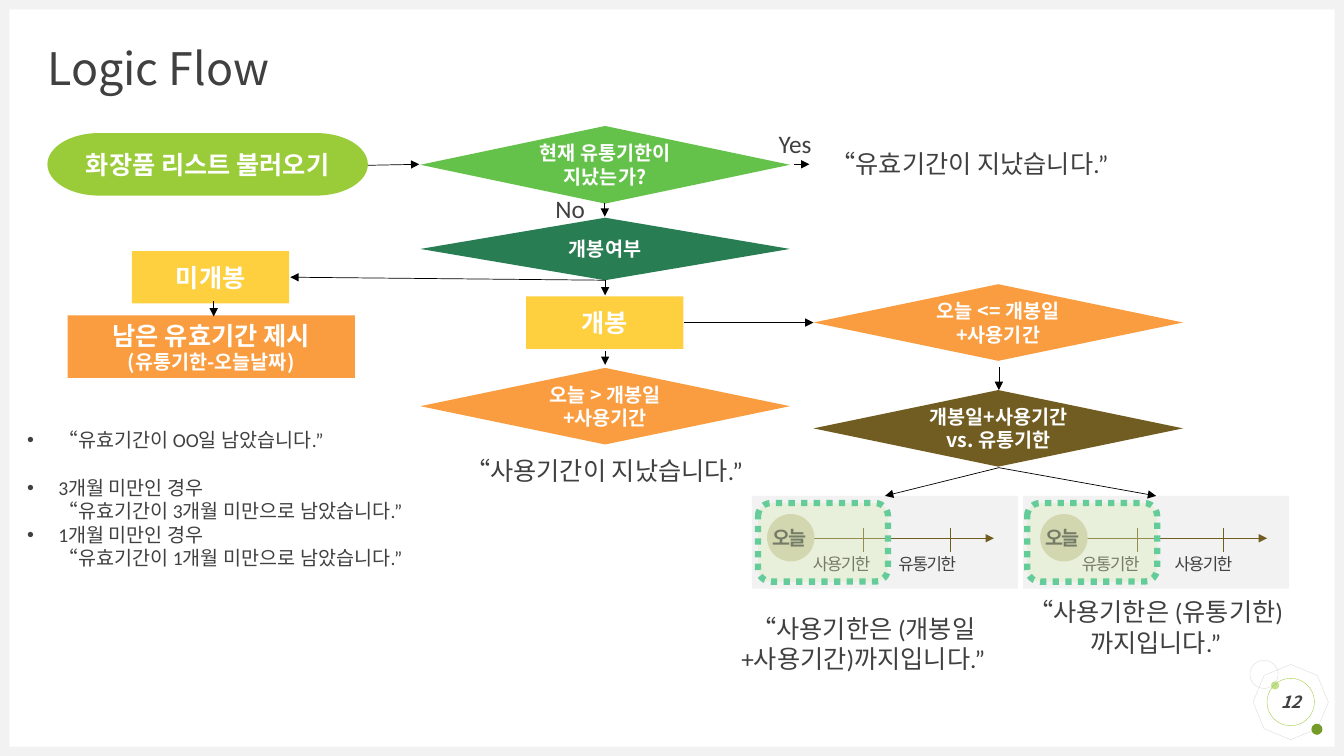
from lxml.etree import SubElement
from pptx import Presentation
from pptx.dml.color import RGBColor
from pptx.enum.dml import MSO_LINE
from pptx.enum.shapes import MSO_CONNECTOR, MSO_SHAPE
from pptx.enum.text import MSO_ANCHOR, PP_ALIGN
from pptx.oxml.ns import qn
from pptx.util import Emu, Inches, Pt

CELL = Inches(1) / 3
COLS, ROWS = 40, 22.5
SANS, BODY = "Noto Sans CJK KR", "Calibri"
WHITE = RGBColor(0xFF, 0xFF, 0xFF)
BLACK = RGBColor(0, 0, 0)
INK = RGBColor(0x40, 0x40, 0x40)
PALE = RGBColor(0xF2, 0xF2, 0xF2)
GRAY = RGBColor(0xD9, 0xD9, 0xD9)
LIME = RGBColor(0x9A, 0xCB, 0x39)
LIGHT_LIME = RGBColor(0xC2, 0xE0, 0x88)
DARK_LIME = RGBColor(0x74, 0x9A, 0x29)
GREEN = RGBColor(0x64, 0xC2, 0x4A)
FOREST = RGBColor(0x29, 0x7D, 0x53)
YELLOW = RGBColor(0xFE, 0xCF, 0x3F)
ORANGE = RGBColor(0xF9, 0x9D, 0x40)
BROWN = RGBColor(0x71, 0x5C, 0x21)
SAND = RGBColor(0xD2, 0xCE, 0xB1)
HAZE = RGBColor(0xD7, 0xEA, 0xB0)
MINT = RGBColor(0x64, 0xCC, 0x98)
DIAMOND = MSO_SHAPE.FLOWCHART_DECISION
RECT, OVAL = MSO_SHAPE.RECTANGLE, MSO_SHAPE.OVAL


def cells(*values):
    """Convert grid cells to slide lengths."""
    return [Emu(round(v * CELL)) for v in values]


def inside(box, x, y, w, h):
    """Place a part relative to the top left of its box."""
    return cells(box[0] + x, box[1] + y, w, h)


def write(tf, text, size=18, font=BODY, color=INK, bold=False, italic=False,
          align=PP_ALIGN.CENTER, anchor=MSO_ANCHOR.MIDDLE, inset=True,
          wrap=True, spacing=None, last_size=None):
    """Fill a text frame; newlines part paragraphs and \\v breaks lines."""
    tf.text = text
    tf.word_wrap, tf.vertical_anchor = wrap, anchor
    if not inset:
        tf.margin_left = tf.margin_top = tf.margin_right = tf.margin_bottom = 0
    for p in tf.paragraphs:
        p.alignment = align
        for br in p._p.findall(qn("a:br")):
            SubElement(br, qn("a:rPr"), sz=str(size * 100))
        for r in p.runs:
            f = r.font
            f.size, f.name, f.bold, f.italic = Pt(size), font, bold, italic
            f.color.rgb = color
            SubElement(r._r.get_or_add_rPr(), qn("a:ea"), typeface=SANS)
            if spacing:
                r._r.get_or_add_rPr().set("spc", str(spacing * 100))
        if last_size:
            p.runs[-1].font.size = Pt(last_size)


def shape(s, box, kind, x, y, w, h, fill=None, line=None, width=0.25):
    """Add a preset shape to a box."""
    sp = s.add_shape(kind, *inside(box, x, y, w, h))
    sp.shadow.inherit = False
    if fill is None:
        sp.fill.background()
    else:
        sp.fill.solid()
        sp.fill.fore_color.rgb = fill
    if line is None:
        sp.line.fill.background()
    else:
        sp.line.color.rgb, sp.line.width = line, Pt(width)
    return sp


def step(s, box, kind, x, y, w, h, fill, text, size=14, **fmt):
    """Add a filled step of the flow with white bold text."""
    sp = shape(s, box, kind, x, y, w, h, fill)
    write(sp.text_frame, text, size, SANS, WHITE, bold=True, **fmt)


def label(s, box, x, y, w, h, text, **fmt):
    """Add a text box without insets and return its frame."""
    tf = s.add_textbox(*inside(box, x, y, w, h)).text_frame
    write(tf, text, inset=False, **fmt)
    return tf


def link(s, box, x1, y1, x2, y2, color=BLACK, arrow=True):
    """Add a thin line, with an arrowhead unless told otherwise."""
    ends = cells(box[0] + x1, box[1] + y1, box[0] + x2, box[1] + y2)
    cn = s.add_connector(MSO_CONNECTOR.STRAIGHT, *ends)
    cn.line.color.rgb, cn.line.width = color, Pt(0.5)
    if arrow:
        SubElement(cn.line._get_or_add_ln(), qn("a:tailEnd"), type="triangle")
    SubElement(cn._element.spPr, qn("a:effectLst"))


def frame(s, box):
    """Draw the pale border around the slide."""
    w, h, edge = box[2], box[3], 0.28
    for bar in ((0, h - edge, w, edge), (0, 0, w, edge),
                (0, 0, edge, h), (w - edge, 0, edge, h)):
        shape(s, box, RECT, *bar, fill=PALE)


def title(s, box, text):
    """Move and format the title placeholder."""
    sp = s.title
    sp.left, sp.top, sp.width, sp.height = inside(box, 0, 0, *box[2:])
    write(sp.text_frame, text, 32, SANS, align=PP_ALIGN.LEFT, inset=False)
    sp.text_frame.paragraphs[0].line_spacing = 0.9


def badge(s, box, number):
    """Draw the page number with its ornaments."""
    octagon = shape(s, box, MSO_SHAPE.OCTAGON, 0.18, 0.21, 2.07, 2.07, line=GRAY)
    octagon.rotation = 22.7
    shape(s, box, OVAL, 0.63, 0.63, 0.24, 0.24, LIGHT_LIME)
    shape(s, box, OVAL, 1.83, 1.89, 0.33, 0.33, DARK_LIME)
    shape(s, box, OVAL, 0, 0, 0.84, 0.84, line=GRAY)
    ring = shape(s, box, OVAL, 0.51, 0.54, 1.41, 1.41, line=LIME)
    write(ring.text_frame, number, 12, SANS, bold=True, italic=True, inset=False)


def expiry_check(s, box):
    """Draw the start and the expiry question."""
    step(s, box, MSO_SHAPE.FLOWCHART_TERMINATOR, 0, 0.24, 9.54, 1.86, LIME,
         "화장품 리스트 불러오기", 18)
    step(s, box, DIAMOND, 11.1, 0.03, 11, 2.31, GREEN, "현재 유통기한이 지났는가?")
    label(s, box, 23.31, 0.45, 11, 1.41, "“유효기간이 지났습니다.”", align=PP_ALIGN.LEFT)
    for x, y, text in ((21.75, 0, "Yes"), (15.06, 1.92, "No")):
        label(s, box, x, y, 1, 1.11, text, wrap=False)
    for ends in ((9.54, 1.2, 11.07, 1.17), (22.23, 1.17, 22.68, 1.17),
                 (16.59, 2.31, 16.59, 2.73)):
        link(s, box, *ends)


def opening_check(s, box):
    """Draw the opened or unopened branches."""
    step(s, box, DIAMOND, 10.5, 0, 11, 1.86, FOREST, "개봉여부")
    for x, y, text in ((1.92, 0.99, "미개봉"), (13.65, 2.34, "개봉")):
        step(s, box, RECT, x, y, 4.68, 1.56, YELLOW, text, 18)
    step(s, box, RECT, 0, 2.91, 8.55, 1.86, ORANGE,
         "남은 유효기간 제시\v(유통기한-오늘날짜)", 18, last_size=14)
    step(s, box, DIAMOND, 10.5, 4.47, 11, 2.28, ORANGE, "오늘 > 개봉일+사용기간")
    label(s, box, 10.47, 6.81, 11, 1.41, "“사용기간이 지났습니다.”")
    for ends in ((16, 1.86, 16, 2.31), (16, 1.86, 6.63, 1.77),
                 (4.35, 2.49, 4.35, 2.94), (16, 3.96, 16, 4.38)):
        link(s, box, *ends)


def notes(s, box):
    """List the messages on the remaining period."""
    items = ["“유효기간이 OO일 남았습니다.”"]
    items += [f"{n}개월 미만인 경우\v“유효기간이 {n}개월 미만으로 남았습니다.”" for n in (3, 1)]
    tf = label(s, box, 0, 0, *box[2:], "\n".join(items), size=14, align=PP_ALIGN.LEFT)
    tf.paragraphs[1].space_before = Pt(17)
    for p in tf.paragraphs:
        pPr = p._p.get_or_add_pPr()
        pPr.set("marL", str(Inches(0.31)))
        pPr.set("indent", str(-Inches(0.31)))
        SubElement(pPr, qn("a:buFont"), typeface="Arial")
        SubElement(pPr, qn("a:buChar"), char="•")


def timeline(s, box, axis, mark, labels):
    """Draw a time axis whose first stretch is marked."""
    g = s.add_group_shape().shapes
    shape(g, box, RECT, 0, 0, *box[2:], fill=PALE)
    link(g, box, axis, 1.26, axis + 6.33, 1.26, BROWN)
    for x in (axis + 2.46, axis + 5.04):
        link(g, box, x, 0.96, x, 1.68, BROWN, arrow=False)
    shape(g, box, MSO_SHAPE.FLOWCHART_CONNECTOR, axis - 0.42, 0.54, 1.41, 1.41, SAND)
    label(g, box, axis - 0.27, 0.9, 1.41, 0.78, "오늘", size=14, bold=True,
          align=PP_ALIGN.LEFT, anchor=MSO_ANCHOR.TOP, spacing=-1)
    for x, text in labels:
        label(g, box, x, 1.32, 2.94, 1.41, text, size=12, spacing=-1)
    sp = shape(g, box, MSO_SHAPE.ROUNDED_RECTANGLE, mark, 0.21, 3.87, 2.34,
               HAZE, MINT, 4.5)
    sp.line.dash_style = MSO_LINE.ROUND_DOT
    color = sp._element.spPr.find(qn("a:solidFill"))[0]
    SubElement(color, qn("a:alpha"), val="35000")


def usage_check(s, box):
    """Draw the comparison of dates and its two outcomes."""
    for y, fill, text in ((0, ORANGE, "오늘 <= 개봉일+사용기간"),
                          (3.15, BROWN, "개봉일+사용기간 vs. 유통기한")):
        step(s, box, DIAMOND, 3.84, y, 11, 2.28, fill, text)
    x, y = box[0], box[1] + 6.3
    timeline(s, (x + 2.01, y, 7.92, 2.76), 0.87, 0.18, ((1.2, "사용기한"), (3.75, "유통기한")))
    timeline(s, (x + 10.08, y, 7.92, 2.76), 0.93, 0.12, ((1.14, "유통기한"), (3.9, "사용기한")))
    for x, y, limit in ((1.23, 9, "개봉일+사용기간"), (9.93, 8.52, "유통기한")):
        label(s, box, x, y, 8.19, 3.36, f"“사용기한은 ({limit})까지입니다.”")
    for ends in ((0, 1.14, 3.84, 1.14), (9.36, 2.46, 9.36, 3.15),
                 (9.36, 5.46, 14.04, 6.3), (9.36, 5.46, 5.97, 6.3)):
        link(s, box, *ends)


def main():
    """Build the slide and save it."""
    prs = Presentation()
    prs.slide_width, prs.slide_height = cells(COLS, ROWS)
    s = prs.slides.add_slide(prs.slide_layouts[5]).shapes
    frame(s, (0, 0, COLS, ROWS))
    title(s, (1.41, 1.41, 37.2, 1.41), "Logic Flow")
    badge(s, (37.2, 19.65, 2.25, 2.28), "12")
    expiry_check(s, (1.41, 3.72, 34.31, 3.03))
    opening_check(s, (2.01, 6.48, 21.5, 8.22))
    notes(s, (0.81, 12.18, 11.88, 5.34))
    usage_check(s, (20.37, 8.46, 18.12, 12.36))
    prs.save("out.pptx")


if __name__ == "__main__":
    main()
